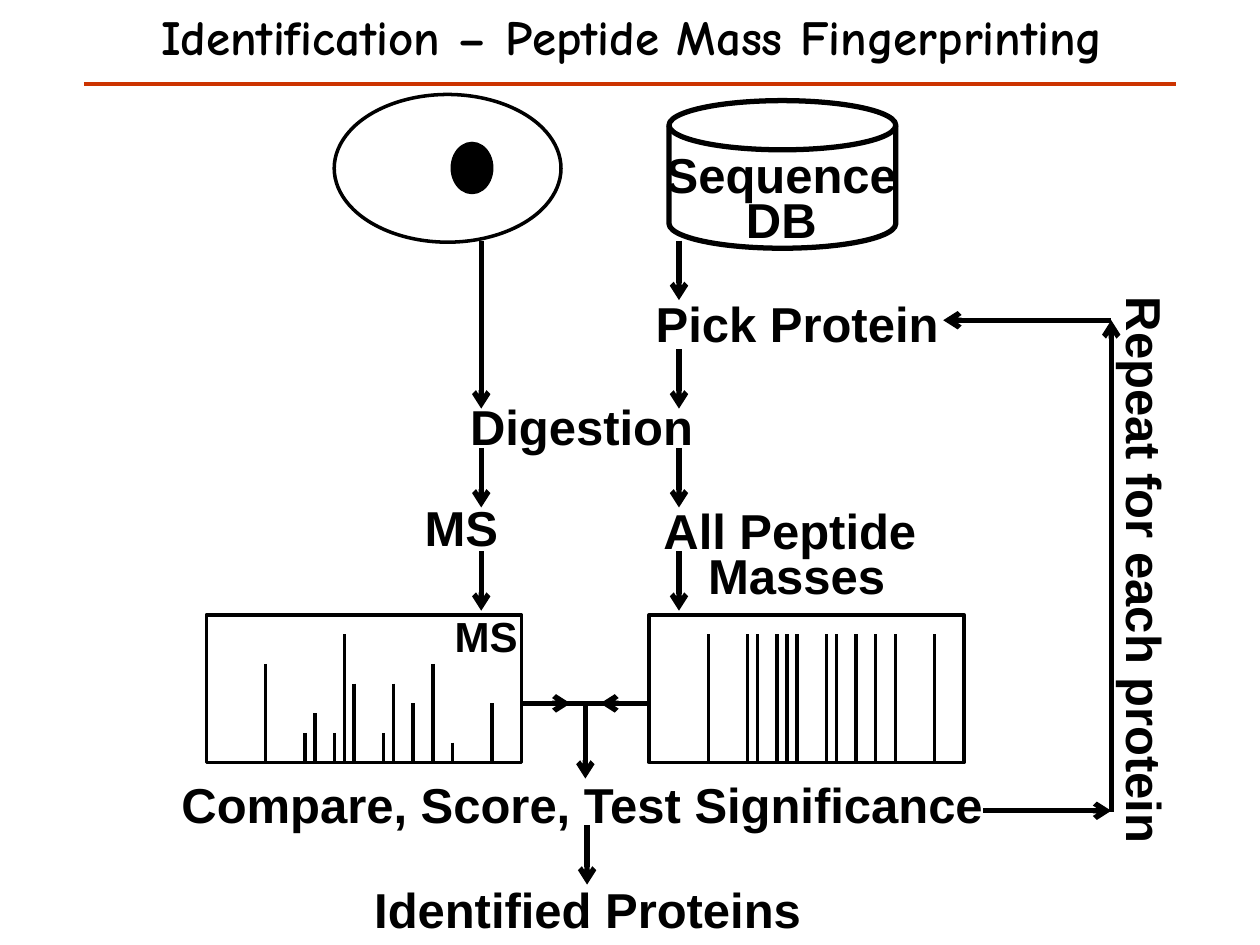
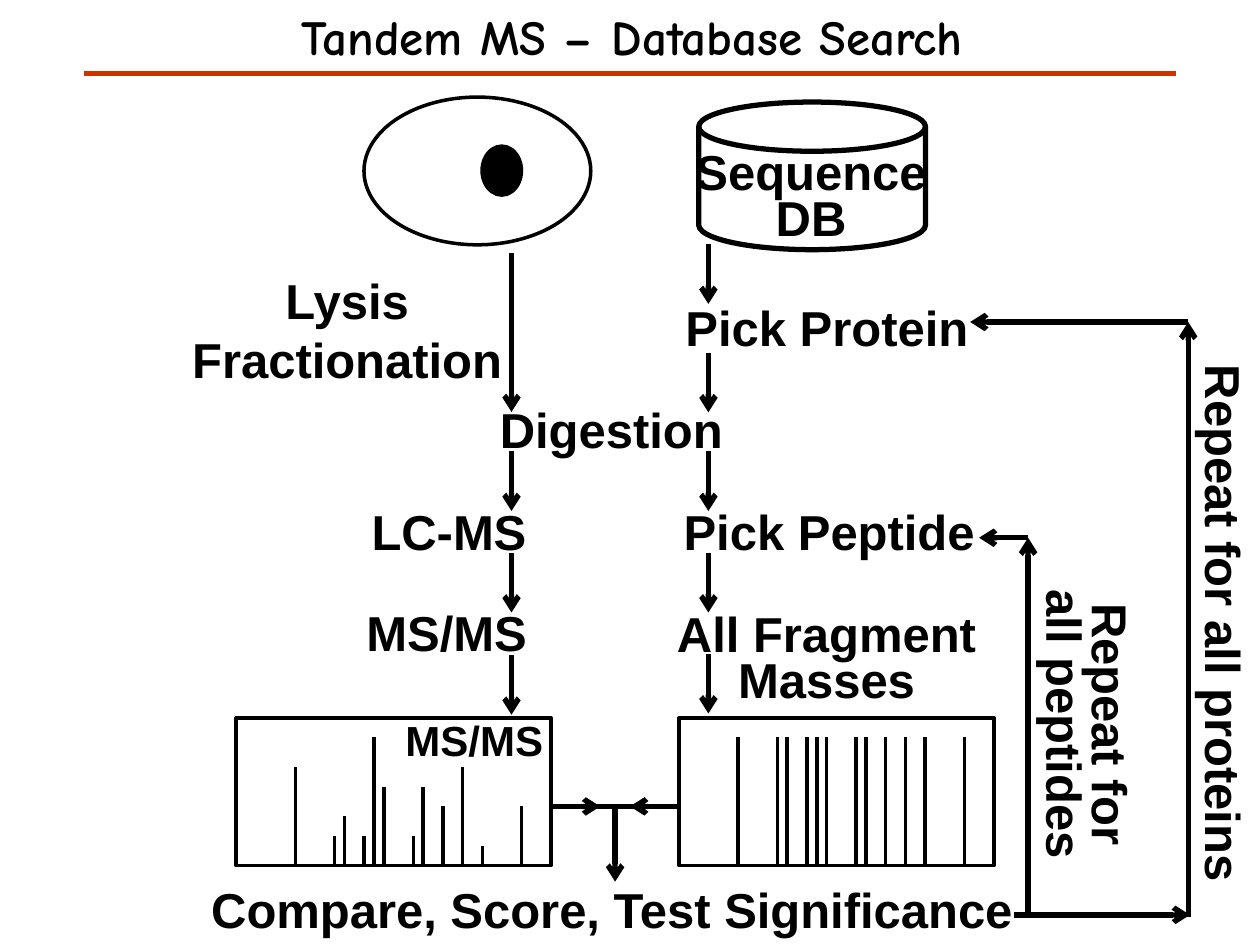
from lxml.etree import SubElement
from pptx import Presentation
from pptx.dml.color import RGBColor
from pptx.enum.shapes import MSO_CONNECTOR, MSO_SHAPE
from pptx.enum.text import MSO_ANCHOR, MSO_AUTO_SIZE, PP_ALIGN
from pptx.oxml.ns import qn
from pptx.util import Pt

BLACK = RGBColor(0x00, 0x00, 0x00)
RULE_RED = RGBColor(0xCC, 0x33, 0x00)
BODY_FONT = "Arial"
TITLE_FONT = "Comic Neue"
UNIT = 180 / 32
BOX_W, BOX_H = 32 * UNIT, 15 * UNIT
STEP = 34
TIGHT = 26
PEAKS = {6: 10, 10: 3, 11: 5, 13: 3, 14: 13, 15: 8,
         18: 3, 19: 8, 21: 6, 23: 10, 25: 2, 29: 6}
FRAGMENTS = {position: 13 for position in PEAKS}


def format_text(tf, font, size, align, spacing=None):
    tf.word_wrap = False
    for p in tf.paragraphs:
        p.alignment = align
        if spacing:
            p.line_spacing = Pt(spacing)
        for r in p.runs:
            r.font.name = font
            r.font.size = Pt(size)
            r.font.bold = True
            r.font.color.rgb = BLACK


def add_line(s, x1, y1, x2, y2, width=2, color=BLACK, arrow=False):
    c = s.shapes.add_connector(MSO_CONNECTOR.STRAIGHT, Pt(x1), Pt(y1), Pt(x2), Pt(y2))
    c.line.color.rgb = color
    c.line.width = Pt(width)
    if arrow:
        SubElement(c.line._get_or_add_ln(), qn("a:tailEnd"), type="arrow")
    SubElement(c._element.spPr, qn("a:effectLst"))


def add_arrow(s, x1, y1, x2, y2):
    add_line(s, x1, y1, x2, y2, width=3, arrow=True)


def add_steps(s, x, tops):
    for top in tops:
        add_arrow(s, x, top, x, top + STEP)


def add_outline(s, kind, x, y, w, h, width=2, fill=None):
    sp = s.shapes.add_shape(kind, Pt(x), Pt(y), Pt(w), Pt(h))
    sp.shadow.inherit = False
    if fill is None:
        sp.fill.background()
    else:
        sp.fill.solid()
        sp.fill.fore_color.rgb = fill
    sp.line.color.rgb = BLACK
    sp.line.width = Pt(width)


def add_label(s, text, x, y, w, h=41, size=28, align=PP_ALIGN.CENTER,
              spacing=None, rotation=0):
    tb = s.shapes.add_textbox(Pt(x), Pt(y), Pt(w), Pt(h))
    tb.rotation = rotation
    tf = tb.text_frame
    tf.text = text
    tf.auto_size = MSO_AUTO_SIZE.SHAPE_TO_FIT_TEXT
    format_text(tf, BODY_FONT, size, align, spacing or size * 1.2)


def add_title(s, text, width, rule_y):
    title = s.shapes.title
    title.left, title.top = Pt(361 - width / 2), Pt(0)
    title.width, title.height = Pt(width), Pt(41)
    tf = title.text_frame
    tf.text = text
    tf.auto_size = MSO_AUTO_SIZE.NONE
    tf.vertical_anchor = MSO_ANCHOR.TOP
    format_text(tf, TITLE_FONT, 28, PP_ALIGN.CENTER)
    add_line(s, 48, rule_y, 672, rule_y, width=2.5, color=RULE_RED)


def add_cell(s, x, y):
    add_outline(s, MSO_SHAPE.OVAL, x, y, 129.6, BOX_H)
    add_outline(s, MSO_SHAPE.OVAL, x + 67.5, y + 28, 22.5, 28, fill=BLACK)


def add_database(s, x, y, text_y):
    add_outline(s, MSO_SHAPE.FLOWCHART_MAGNETIC_DISK, x, y, 129.6, BOX_H, width=3)
    add_label(s, "Sequence\nDB", x - 10, text_y, 148.3, 60, spacing=TIGHT)


def add_spectrum(s, x, y, peaks):
    add_outline(s, MSO_SHAPE.RECTANGLE, x, y, BOX_W, BOX_H)
    base = y + BOX_H
    for position, height in peaks.items():
        peak_x = x + position * UNIT
        add_line(s, peak_x, base - height * UNIT, peak_x, base)


def add_comparison(s, x, y, label_y):
    left, right = x + BOX_W, x + 253
    middle, level = (left + right) / 2, y + 9 * UNIT
    add_spectrum(s, x, y, PEAKS)
    add_spectrum(s, right, y, FRAGMENTS)
    add_arrow(s, left, level, left + 28, level)
    add_arrow(s, right, level, right - 28, level)
    add_line(s, middle + 14, level, middle - 14, level, width=3)
    add_arrow(s, middle, level, middle, level + 43)
    add_label(s, "Compare, Score, Test Significance ", x - 24.5, label_y, 486)


def add_return(s, x, bottom, top, target_x):
    add_arrow(s, x, bottom, x, top)
    add_arrow(s, x, top, target_x, top)


def add_shared_flow(s, dx, cell_y, disk_y, disk_text_y, pick_y, digestion_y):
    add_cell(s, 191 + dx, cell_y)
    add_database(s, 382.3 + dx, disk_y, disk_text_y)
    add_label(s, "Pick Protein", 366.5 + dx, pick_y, 178)
    add_label(s, "Digestion", 261.5 + dx, digestion_y, 143, align=PP_ALIGN.LEFT)


def build_fingerprinting(s):
    add_title(s, "Identification – Peptide Mass Fingerprinting", 618.5, 48)
    add_shared_flow(s, 0, 54, 57.5, 86.5, 164, 223)
    add_arrow(s, 275, 138, 275, 233.5)
    add_steps(s, 275, [256, 315])
    add_steps(s, 388, [137.5, 199.5, 256, 315])
    add_label(s, "MS", 235.5, 281, 57, align=PP_ALIGN.LEFT)
    add_label(s, "All Peptide \nMasses", 371, 290, 168.5, 60, spacing=TIGHT)
    add_comparison(s, 118, 351.3, 439)
    add_label(s, "MS", 252.7, 345.5, 51, 37, size=24, align=PP_ALIGN.LEFT)
    add_arrow(s, 562, 463.3, 635, 463.3)
    add_return(s, 635, 464, 183, 539)
    add_label(s, "Repeat for each protein", 489, 305.3, 331, rotation=90)
    add_steps(s, 335.5, [471.5])
    add_label(s, "Identified Proteins", 205, 499, 261.5)


def build_database_search(s):
    add_title(s, "Tandem MS – Database Search", 443.5, 42)
    add_shared_flow(s, 17, 55.5, 58.3, 85, 166.3, 224.6)
    add_label(s, "Lysis\nFractionation", 101.5, 151.2, 193.7, 75)
    add_arrow(s, 292.3, 144.7, 292.3, 235.4)
    add_steps(s, 292.3, [258, 316, 374.4])
    add_steps(s, 404.8, [139.7, 201.6, 258, 316, 373.7])
    add_label(s, "LC-MS", 205.2, 283, 104.4, align=PP_ALIGN.LEFT)
    add_label(s, "MS/MS", 202.3, 340.6, 107.3, align=PP_ALIGN.LEFT)
    add_label(s, "Pick Peptide", 382.3, 283, 183)
    add_label(s, "All Fragment\nMasses", 378.7, 349.2, 187.2, 60, spacing=TIGHT)
    add_comparison(s, 135, 410.2, 499)
    add_label(s, "MS/MS", 224.6, 404.6, 93.6, 37, size=24, align=PP_ALIGN.LEFT)
    add_arrow(s, 579.6, 522.8, 680, 522.8)
    add_return(s, 679, 524, 184, 554.4)
    add_return(s, 587.5, 524.5, 307.3, 559.5)
    add_label(s, "Repeat for all proteins", 543, 335.5, 313.2, rotation=90)
    add_label(s, "Repeat for\nall peptides", 532.8, 383.8, 170, 60,
              spacing=TIGHT, rotation=90)


def main():
    prs = Presentation()
    prs.slide_width, prs.slide_height = Pt(720), Pt(540)
    for build in (build_fingerprinting, build_database_search):
        build(prs.slides.add_slide(prs.slide_layouts[5]))
    prs.save("out.pptx")


if __name__ == "__main__":
    main()
